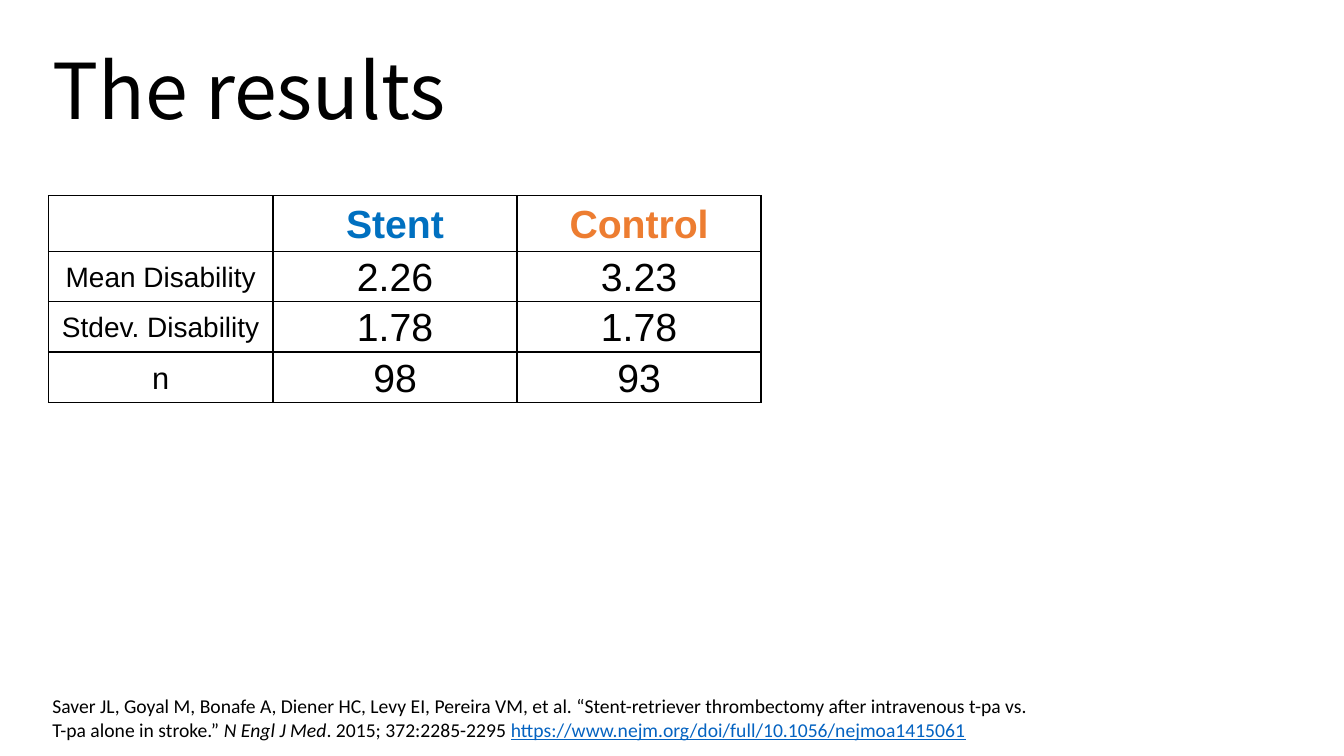
from lxml import etree
from pptx import Presentation
from pptx.dml.color import RGBColor
from pptx.enum.text import MSO_ANCHOR, MSO_AUTO_SIZE, PP_ALIGN
from pptx.oxml.ns import qn
from pptx.util import Cm, Pt

LEFT, CENTER = PP_ALIGN.LEFT, PP_ALIGN.CENTER
TOP, MIDDLE = MSO_ANCHOR.TOP, MSO_ANCHOR.MIDDLE
NO_AUTOFIT = MSO_AUTO_SIZE.NONE

BLACK = RGBColor(0x00, 0x00, 0x00)
STENT_BLUE = RGBColor(0x00, 0x70, 0xC0)
CONTROL_ORANGE = RGBColor(0xED, 0x7D, 0x31)
LINK_BLUE = RGBColor(0x05, 0x63, 0xC1)

RESULTS = [
    ("", "Stent", "Control"),
    ("Mean Disability", "2.26", "3.23"),
    ("Stdev. Disability", "1.78", "1.78"),
    ("n", "98", "93"),
]
ARM_COLORS = {"Stent": STENT_BLUE, "Control": CONTROL_ORANGE}
LABEL_SIZES = {"Mean Disability": 20, "Stdev. Disability": 20, "n": 22}
COLUMN_WIDTHS = (5.66, 6.15, 6.15)
ROW_HEIGHTS = (1.4, 1.27, 1.27, 1.27)

CITATION = [
    ("Saver JL, Goyal M, Bonafe A, Diener HC, Levy EI, Pereira VM, et al. "
     "“Stent-retriever thrombectomy after intravenous t-pa vs. "
     "T-pa alone in stroke.” ", {}),
    ("N Engl J Med", {"italic": True}),
    (". 2015; 372:2285-2295 ", {}),
    ("https://www.nejm.org/doi/full/10.1056/nejmoa1415061",
     {"color": LINK_BLUE, "underline": True}),
]


class ResultsSlide:
    title_font = "Noto Sans CJK SC"
    table_font = "Arial"
    citation_font = "Calibri"

    def __init__(self, presentation):
        self.slide = presentation.slides.add_slide(presentation.slide_layouts[5])

    def style(self, font, name, size, color=BLACK, bold=False, italic=False, underline=False):
        font.name, font.size = name, Pt(size)
        font.bold, font.italic, font.underline = bold, italic, underline
        font.color.rgb = color

    def title(self, text, left, top, width, height):
        heading = self.slide.shapes.title
        heading.left, heading.top = Cm(left), Cm(top)
        heading.width, heading.height = Cm(width), Cm(height)
        frame = heading.text_frame
        frame.text = text
        frame.auto_size = NO_AUTOFIT
        frame.vertical_anchor = MIDDLE
        paragraph = frame.paragraphs[0]
        paragraph.alignment, paragraph.line_spacing = LEFT, 0.9
        self.style(paragraph.runs[0].font, self.title_font, 55)

    def border(self, cell):
        """Draw a thin black line on all four sides of the cell."""
        properties = cell._tc.get_or_add_tcPr()
        for position, side in enumerate(("a:lnL", "a:lnR", "a:lnT", "a:lnB")):
            line = etree.Element(qn(side), w=str(Pt(1)))
            fill = etree.SubElement(line, qn("a:solidFill"))
            etree.SubElement(fill, qn("a:srgbClr"), val=str(BLACK))
            properties.insert(position, line)

    def table(self, rows, left, top, widths, heights):
        table = self.slide.shapes.add_table(
            len(rows), len(widths), Cm(left), Cm(top), Cm(sum(widths)), Cm(sum(heights))
        ).table
        table.first_row = table.horz_banding = False
        for column, width in zip(table.columns, widths):
            column.width = Cm(width)
        for row, height, texts in zip(table.rows, heights, rows):
            row.height = Cm(height)
            for cell, text in zip(row.cells, texts):
                self.cell(cell, text)

    def cell(self, cell, text):
        cell.fill.background()
        self.border(cell)
        cell.vertical_anchor = MIDDLE
        cell.margin_left = cell.margin_right = Cm(0.18)
        cell.margin_top = cell.margin_bottom = 0
        cell.text_frame.text = text
        paragraph = cell.text_frame.paragraphs[0]
        paragraph.alignment, paragraph.line_spacing = CENTER, 1.07
        self.style(paragraph.font, self.table_font, LABEL_SIZES.get(text, 28),
                   ARM_COLORS.get(text, BLACK), bold=text in ARM_COLORS)
        for run in paragraph.runs:
            self.style(run.font, self.table_font, LABEL_SIZES.get(text, 28),
                       ARM_COLORS.get(text, BLACK), bold=text in ARM_COLORS)

    def citation(self, parts, left, top, width, height):
        frame = self.slide.shapes.add_textbox(
            Cm(left), Cm(top), Cm(width), Cm(height)).text_frame
        frame.word_wrap = True
        frame.vertical_anchor = TOP
        for text, emphasis in parts:
            run = frame.paragraphs[0].add_run()
            run.text = text
            self.style(run.font, self.citation_font, 14, **emphasis)


def main():
    presentation = Presentation()
    presentation.slide_width, presentation.slide_height = Cm(33.87), Cm(19.05)
    results = ResultsSlide(presentation)
    results.title("The results", 1.07, 1.07, 21.23, 2.62)
    results.table(RESULTS, 1.22, 4.93, COLUMN_WIDTHS, ROW_HEIGHTS)
    results.citation(CITATION, 1.07, 17.37, 25.4, 1.45)
    presentation.save("out.pptx")


if __name__ == "__main__":
    main()
